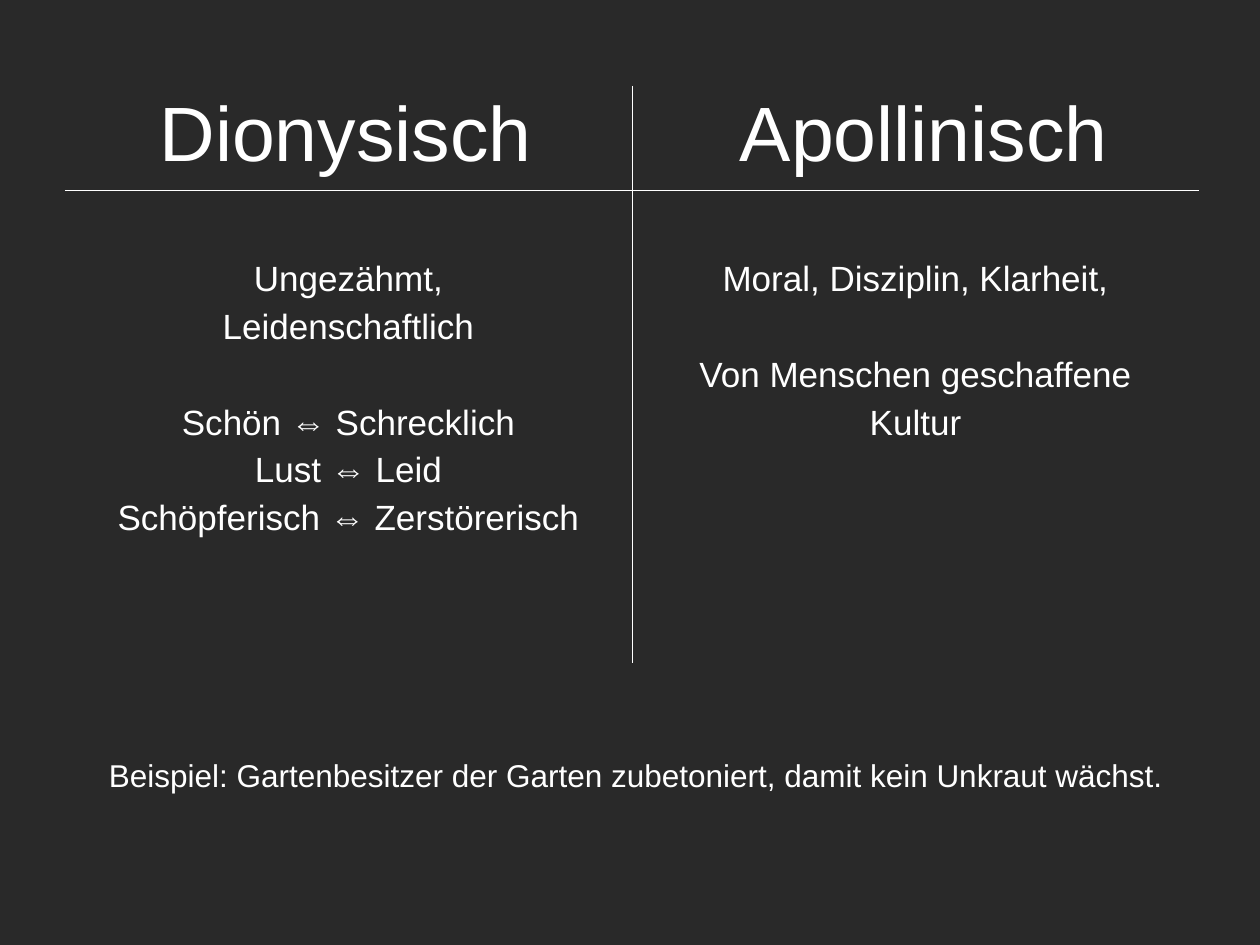
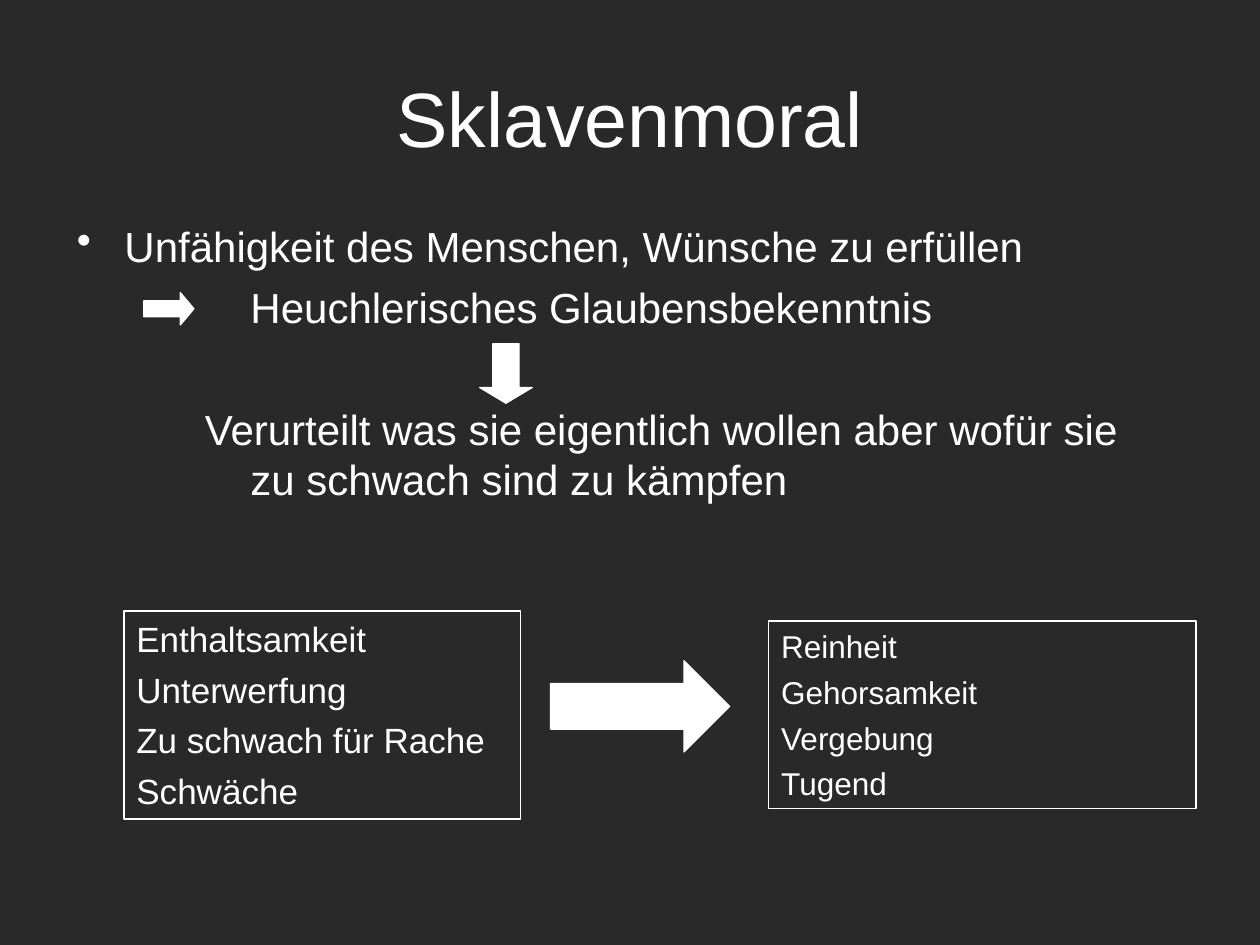
import lxml.etree
import pptx
import pptx.dml.color
import pptx.enum.shapes
import pptx.enum.text
import pptx.oxml.ns
import pptx.util

Cm, Pt = pptx.util.Cm, pptx.util.Pt
PRESETS = pptx.enum.shapes.MSO_SHAPE
ALIGN = pptx.enum.text.PP_ALIGN
ANCHOR = pptx.enum.text.MSO_ANCHOR

# Shared look
DARK, WHITE = "292929", "FFFFFF"
FONT = "Arial"
TITLE_SIZE = 44

# Contrast slide: heading, heading indent in cm, lines with space before in pt
CONTRASTS = [
    ("Dionysisch", 1.65, [
        ("Ungezähmt,", 0),
        ("Leidenschaftlich", 5),
        ("Schön ⇔ Schrecklich", 32.4),
        ("Lust ⇔ Leid", 5),
        ("Schöpferisch ⇔ Zerstörerisch", 5),
    ]),
    ("Apollinisch", 1.92, [
        ("Moral, Disziplin, Klarheit,", 0),
        ("Von Menschen geschaffene", 32.4),
        ("Kultur", 5),
    ]),
]
CONTRAST_AT = (1.31, 1.73)
COLUMN_WIDTH = 11.43
ROW_HEIGHTS = (2.1, 9.53)
EXAMPLE = "Beispiel: Gartenbesitzer der Garten zubetoniert, damit kein Unkraut wächst."
EXAMPLE_AT = (1.22, 15.11, 23.2, 1.02)

# Slave morality slide: text, space before in pt, left and first-line indent in cm, bullet
HEADLINE = "Sklavenmoral"
HEADLINE_AT = (1.27, 0.76, 22.86, 3.18)
ARGUMENT = [
    ("Unfähigkeit des Menschen, Wünsche zu erfüllen", 0, 0.96, -0.96, "•"),
    ("Heuchlerisches Glaubensbekenntnis", 6, 3.5, 0),
    ("Verurteilt was sie eigentlich wollen aber wofür sie zu schwach sind zu kämpfen",
     41, 3.5, -0.92),
]
ARGUMENT_AT = (1.3, 4.32, 21.59, 6.4)
VIRTUES = [  # lines, place, size, space between lines
    (["Enthaltsamkeit", "Unterwerfung", "Zu schwach für Rache", "Schwäche"],
     (2.5, 12.32, 8, 4.19), 20, 5),
    (["Reinheit", "Gehorsamkeit", "Vergebung", "Tugend"],
     (15.5, 12.52, 8.61, 3.78), 18, 4.5),
]
ARROWS = [  # preset, place, head length
    (PRESETS.RIGHT_ARROW, (2.9, 5.9, 1.01, 0.65), 0.42),
    (PRESETS.DOWN_ARROW, (9.67, 6.93, 1.06, 1.2), 0.3),
    (PRESETS.RIGHT_ARROW, (11.1, 13.32, 3.61, 1.84), 0.5),
]


def color(code):
    return pptx.dml.color.RGBColor.from_string(code)


def apply(target, values):
    for key, value in values.items():
        setattr(target, key, value)


def add_xml(parent, tag, **attributes):
    return lxml.etree.SubElement(parent, pptx.oxml.ns.qn(tag), attributes)


def write(frame, lines, size, align=ALIGN.LEFT):
    """Fill a frame with (text, space before, left indent, first-line indent, bullet)."""
    frame.word_wrap = True
    for number, line in enumerate(lines):
        text, before, left, first, bullet = (*line, *(0, 0, 0, None)[len(line) - 1:])
        paragraph = frame.paragraphs[0] if number == 0 else frame.add_paragraph()
        apply(paragraph, {"alignment": align, "space_before": Pt(before)})
        properties = paragraph._p.get_or_add_pPr()
        properties.set("marL", str(Cm(left)))
        properties.set("indent", str(Cm(first)))
        if bullet:
            add_xml(properties, "a:buChar", char=bullet)
        run = paragraph.add_run()
        run.text = text
        apply(run.font, {"name": FONT, "size": Pt(size)})
        run.font.color.rgb = color(WHITE)


def add_slide(deck):
    slide = deck.slides.add_slide(deck.slide_layouts[6])
    slide.background.fill.solid()
    slide.background.fill.fore_color.rgb = color(DARK)
    return slide


def add_text(slide, place, lines, size, align=ALIGN.LEFT, anchor=ANCHOR.TOP):
    frame = slide.shapes.add_textbox(*map(Cm, place)).text_frame
    write(frame, lines, size, align)
    frame.vertical_anchor = anchor


def add_outlined(slide, preset, place):
    shape = slide.shapes.add_shape(preset, *map(Cm, place))
    shape.shadow.inherit = False
    shape.fill.background()
    shape.line.color.rgb = color(WHITE)
    shape.line.width = Pt(0.75)
    return shape


def set_borders(cell, visible):
    cell.fill.background()
    properties = cell._tc.get_or_add_tcPr()
    for position, side in enumerate("LRTB"):
        border = add_xml(properties, f"a:ln{side}", w=str(Pt(0.45)))
        if side in visible:
            add_xml(add_xml(border, "a:solidFill"), "a:srgbClr", val=WHITE)
        else:
            add_xml(border, "a:noFill")
        properties.insert(position, border)


def build_contrast(deck):
    slide = add_slide(deck)
    count = len(CONTRASTS)
    table = slide.shapes.add_table(
        2, count, *map(Cm, (*CONTRAST_AT, COLUMN_WIDTH * count, sum(ROW_HEIGHTS)))).table
    apply(table, {"first_row": False, "horz_banding": False})
    for row, height in zip(table.rows, ROW_HEIGHTS):
        row.height = Cm(height)

    # Only the lines between the cells show
    for index, (heading, indent, traits) in enumerate(CONTRASTS):
        table.columns[index].width = Cm(COLUMN_WIDTH)
        inner = "R" if index == 0 else "L"
        head, body = table.cell(0, index), table.cell(1, index)
        write(head.text_frame, [(heading, 0, indent)], TITLE_SIZE)
        write(body.text_frame, traits, 20, ALIGN.CENTER)
        body.margin_top = Cm(1.41)
        set_borders(head, inner + "B")
        set_borders(body, inner + "T")

    add_text(slide, EXAMPLE_AT, [(EXAMPLE, 0)], 18, ALIGN.CENTER)


def build_morality(deck):
    slide = add_slide(deck)
    add_text(slide, HEADLINE_AT, [(HEADLINE, 0)], TITLE_SIZE, ALIGN.CENTER, ANCHOR.MIDDLE)
    add_text(slide, ARGUMENT_AT, ARGUMENT, 24)

    # Boxes of weaknesses and the virtues made of them
    for words, place, size, gap in VIRTUES:
        box = add_outlined(slide, PRESETS.RECTANGLE, place)
        lines = [(word, gap if number else 0) for number, word in enumerate(words)]
        write(box.text_frame, lines, size)
        box.text_frame.vertical_anchor = ANCHOR.TOP

    # Arrows
    for preset, place, head in ARROWS:
        arrow = add_outlined(slide, preset, place)
        arrow.fill.solid()
        arrow.fill.fore_color.rgb = color(WHITE)
        arrow.adjustments[1] = head


def main():
    deck = pptx.Presentation()
    apply(deck, {"slide_width": Cm(25.4), "slide_height": Cm(19.05)})
    build_contrast(deck)
    build_morality(deck)
    deck.save("out.pptx")


if __name__ == "__main__":
    main()
